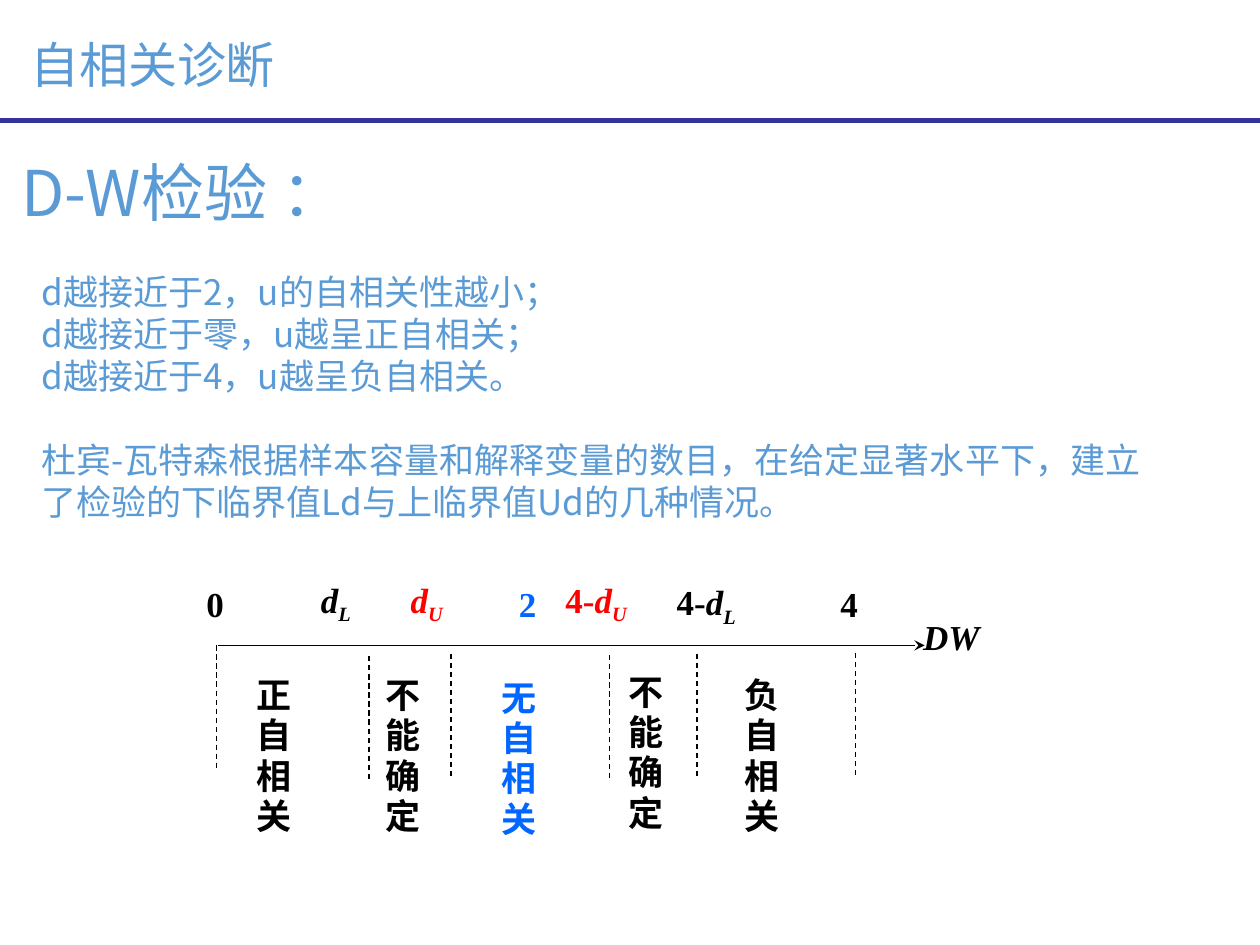
from pptx import Presentation
from pptx.dml.color import RGBColor
from pptx.enum.dml import MSO_LINE
from pptx.enum.shapes import MSO_CONNECTOR, MSO_SHAPE
from pptx.enum.text import MSO_ANCHOR, MSO_AUTO_SIZE, PP_ALIGN
from pptx.oxml.ns import qn
from pptx.util import Cm, Pt
from lxml.etree import SubElement

COLORS = {"text": "5B9BD5", "rule": "333399", "black": "000000",
          "red": "FF0000", "blue": "0066FF"}
CJK = "Noto Sans CJK SC"
ROMAN = "Times New Roman"
AXIS_Y = 13.01


def rgb(name):
    return RGBColor.from_string(COLORS[name])


def place(sp, x, y, w, h):
    sp.left, sp.top, sp.width, sp.height = Cm(x), Cm(y), Cm(w), Cm(h)


def add_run(p, text, size=20, font=ROMAN, color="black", bold=False,
            italic=False, sub=False):
    r = p.add_run()
    r.text = text
    f = r.font
    f.size, f.name, f.bold, f.italic = Pt(size), font, bold, italic
    f.color.rgb = rgb(color)
    r_pr = f._element
    SubElement(r_pr, qn("a:ea")).set("typeface", CJK)
    if sub:
        r_pr.set("baseline", "-25000")


def prepare_frame(sp, margin=None):
    tf = sp.text_frame
    tf.word_wrap = True
    tf.auto_size = MSO_AUTO_SIZE.NONE
    tf.vertical_anchor = MSO_ANCHOR.TOP
    if margin is not None:
        tf.margin_left = tf.margin_right = Cm(margin)
        tf.margin_top = tf.margin_bottom = Cm(margin)
    return tf


def add_box(s, x, y, w, h):
    """Add an empty text box and return its first paragraph."""
    return prepare_frame(s.shapes.add_textbox(Cm(x), Cm(y), Cm(w), Cm(h))).paragraphs[0]


def fill_title(s):
    sp = s.shapes.title
    place(sp, 0.61, 0.69, 13.92, 1.19)
    p = prepare_frame(sp, margin=0).paragraphs[0]
    p.alignment = PP_ALIGN.LEFT
    p.line_spacing = Pt(33.6)
    add_run(p, "自相关诊断", size=28, font=CJK, color="text")


def fill_body(s, lines):
    sp = s.placeholders[1]
    place(sp, 0.58, 5.33, 23.11, 5.38)
    tf = prepare_frame(sp)
    for i, line in enumerate(lines):
        p = tf.paragraphs[0] if i == 0 else tf.add_paragraph()
        p.line_spacing = Pt(24)
        p.space_before = Pt(24 if i == len(lines) - 1 else 0)
        p_pr = p._p.get_or_add_pPr()
        p_pr.set("marL", "0")
        p_pr.set("indent", "0")
        SubElement(p_pr, qn("a:buNone"))
        add_run(p, line, font=CJK, color="text")


def add_rule(s):
    sp = s.shapes.add_shape(MSO_SHAPE.RECTANGLE, 0, Cm(2.38), Cm(25.4), Cm(0.1))
    sp.shadow.inherit = False
    sp.fill.solid()
    sp.fill.fore_color.rgb = rgb("rule")
    sp.line.fill.background()


def add_heading(s):
    p = add_box(s, 0.18, 2.97, 21.72, 1.8)
    p.line_spacing = Pt(43.2)
    add_run(p, "D-W检验 ：", size=36, font=CJK, color="text")


def add_line(s, x1, y1, x2, y2, dashed=False, arrow=False):
    c = s.shapes.add_connector(MSO_CONNECTOR.STRAIGHT, Cm(x1), Cm(y1), Cm(x2), Cm(y2))
    c.line.color.rgb = rgb("black")
    c.line.width = Pt(0.75)
    if dashed:
        c.line.dash_style = MSO_LINE.DASH
    if arrow:
        SubElement(c.line._get_or_add_ln(), qn("a:tailEnd")).set("type", "stealth")
    SubElement(c._element.spPr, qn("a:effectLst"))


def add_axis_label(s, x, y, number="", symbol="", sub="", color="black"):
    p = add_box(s, x, y, 2.7, 1.57)
    if number:
        add_run(p, number, color=color, bold=True)
    if symbol:
        add_run(p, symbol, color=color, bold=True, italic=True)
    if sub:
        add_run(p, sub, color=color, bold=True, italic=True, sub=True)


def add_zone(s, x, y, w, text, color="black"):
    """Add a label in a box one character wide, so that it reads downwards."""
    p = add_box(s, x, y, w, 5)
    p.line_spacing = 0.96
    add_run(p, text, color=color, bold=True)


def main():
    prs = Presentation()
    prs.slide_width, prs.slide_height = Cm(25.4), Cm(19.05)
    s = prs.slides.add_slide(prs.slide_layouts[1])

    add_rule(s)
    fill_title(s)
    add_heading(s)
    fill_body(s, [
        "d越接近于2，u的自相关性越小；",
        "d越接近于零，u越呈正自相关；",
        "d越接近于4，u越呈负自相关。",
        "杜宾-瓦特森根据样本容量和解释变量的数目，在给定显著水平下，"
        "建立了检验的下临界值Ld与上临界值Ud的几种情况。",
    ])

    add_line(s, 4.39, AXIS_Y, 18.64, AXIS_Y, arrow=True)
    for x, y in [(4.37, AXIS_Y), (7.44, 13.23), (9.09, 13.18),
                 (12.29, 13.21), (14.05, 13.18), (17.25, 13.16)]:
        add_line(s, x, y, x, y + 2.5, dashed=True)

    for x, y, number, symbol, sub, color in [
        (3.91, 11.61, "0", "", "", "black"),
        (6.22, 11.53, "", "d", "L", "black"),
        (8.03, 11.53, "", "d", "U", "red"),
        (10.21, 11.61, "2", "", "", "blue"),
        (11.15, 11.53, "4-", "d", "U", "red"),
        (13.39, 11.58, "4-", "d", "L", "black"),
        (16.69, 11.61, "4", "", "", "black"),
        (18.36, 12.29, "", "DW", "", "black"),
    ]:
        add_axis_label(s, x, y, number, symbol, sub, color)

    for x, y, w, text, color in [
        (4.93, 13.51, 1.55, "正自相关", "black"),
        (7.52, 13.51, 1.3, "不能确定", "black"),
        (9.86, 13.56, 1.55, "无自相关", "blue"),
        (12.42, 13.44, 1.3, "不能确定", "black"),
        (14.76, 13.51, 1.55, "负自相关", "black"),
    ]:
        add_zone(s, x, y, w, text, color)

    prs.save("out.pptx")


if __name__ == "__main__":
    main()
